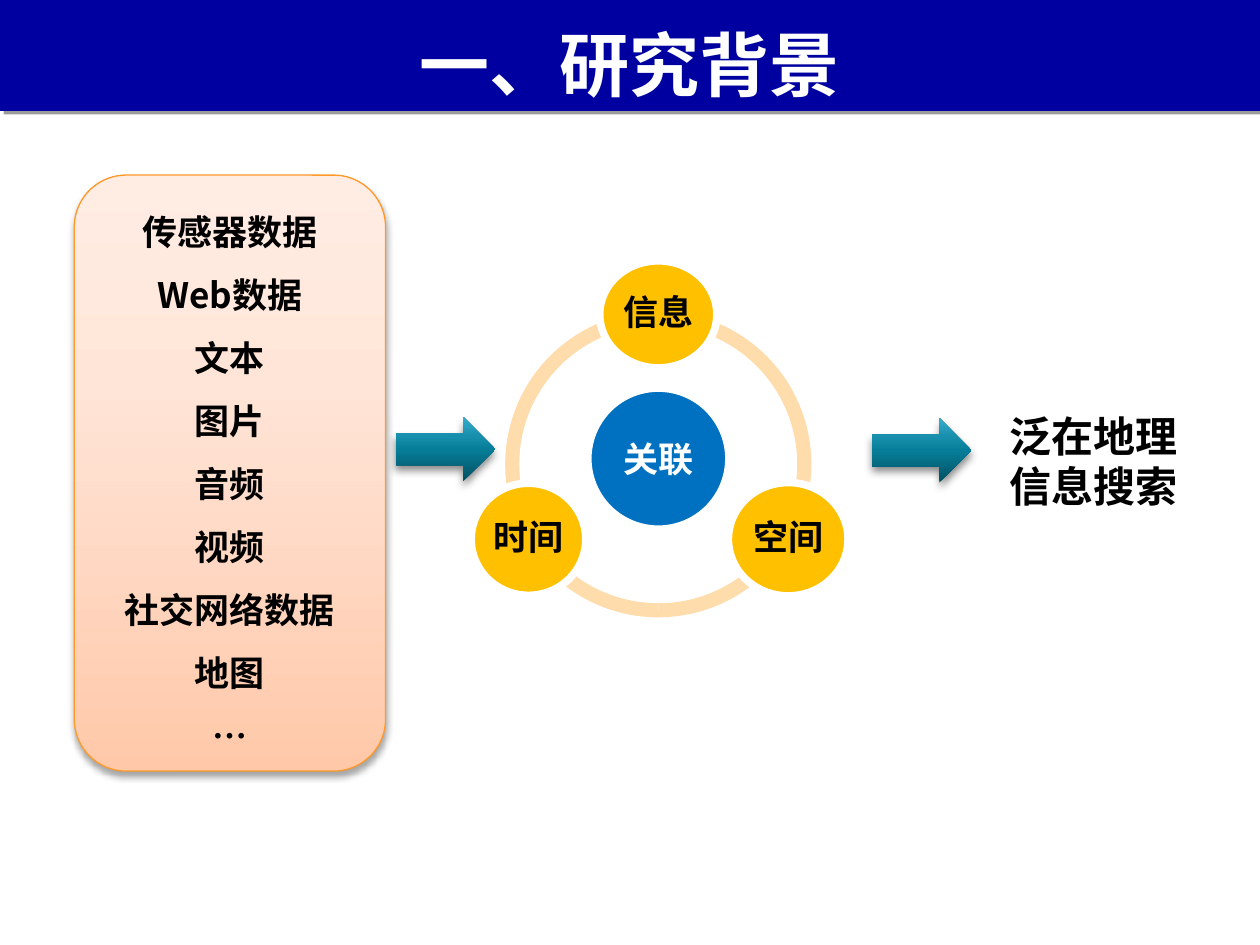
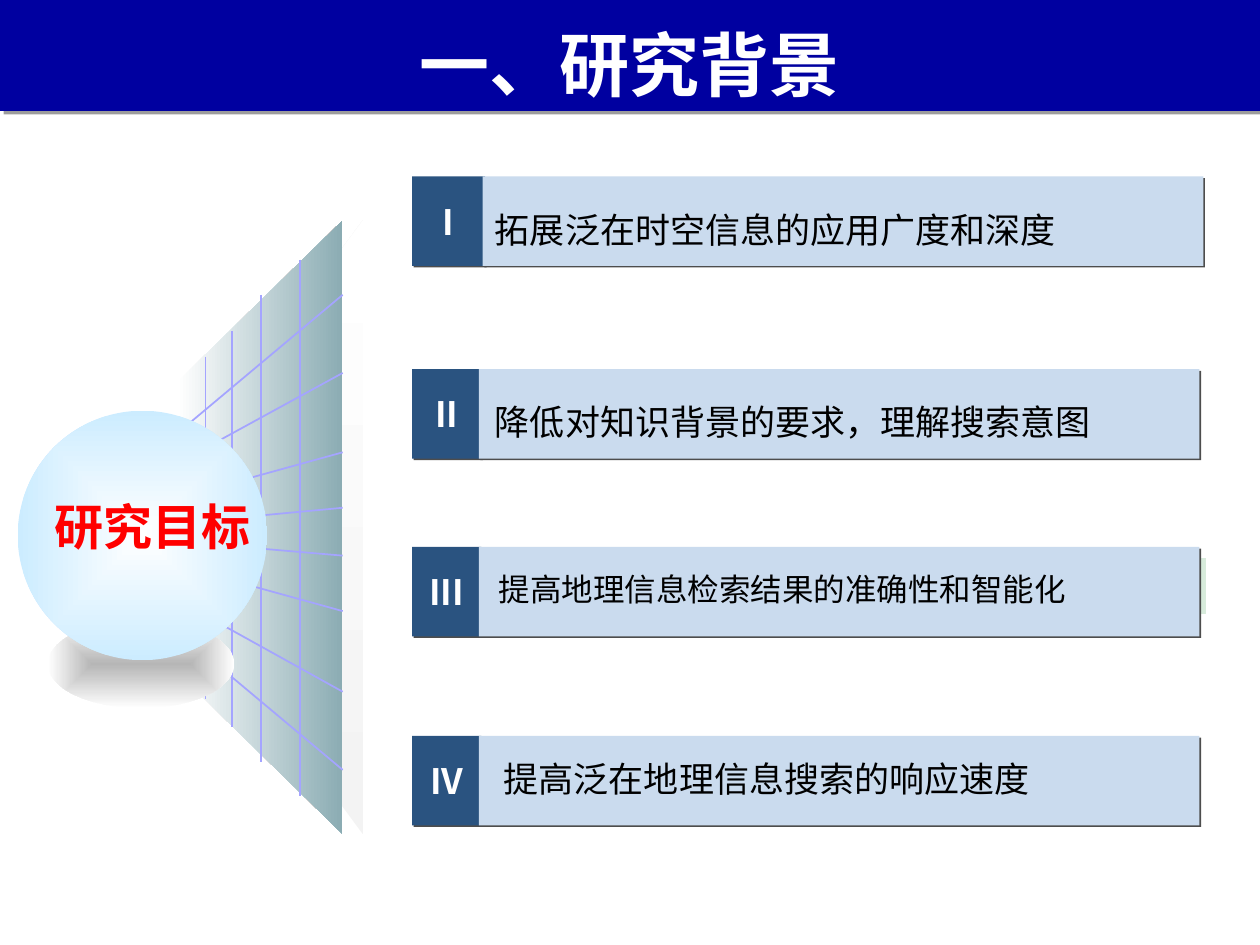
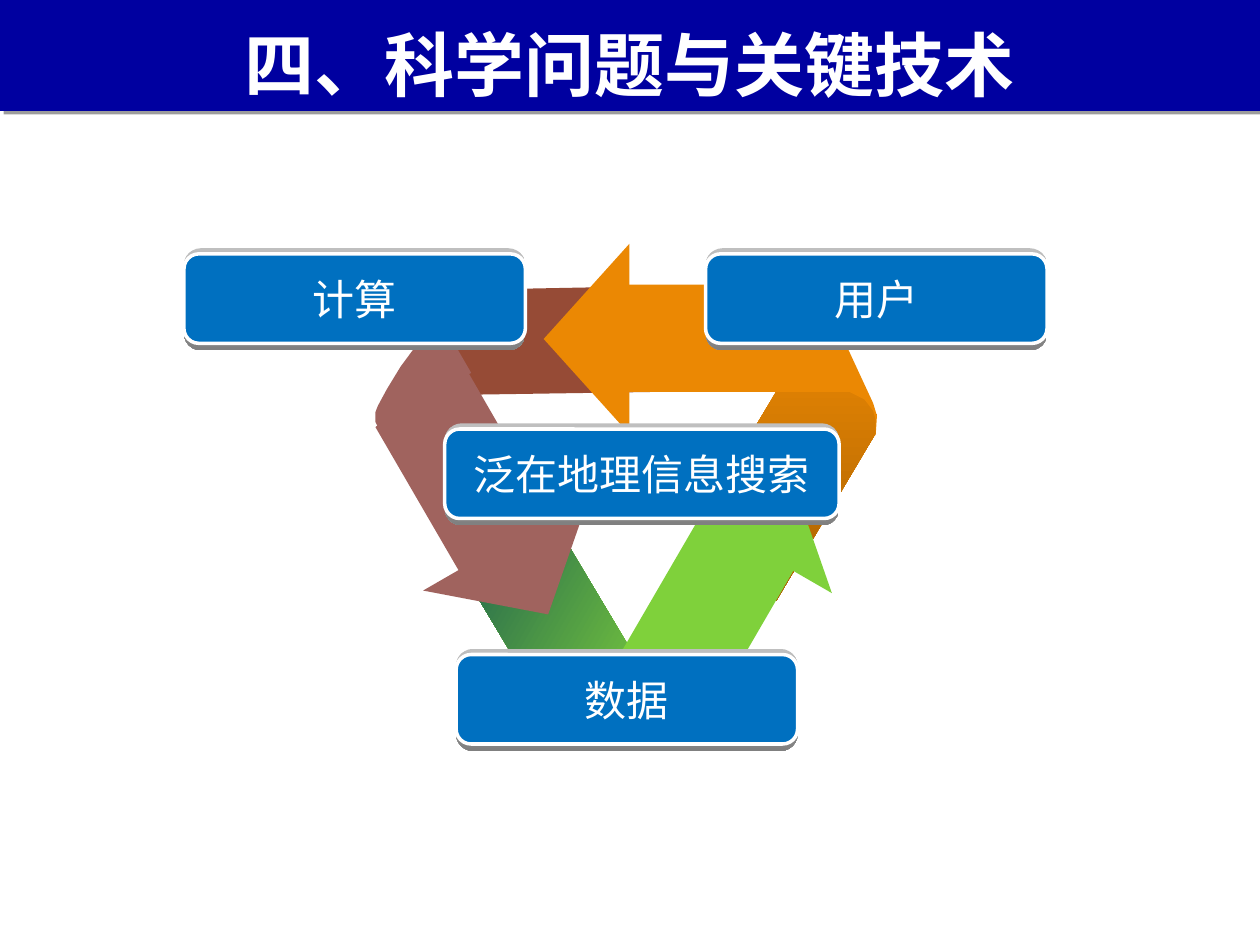
import math
from dataclasses import dataclass

from lxml import etree
from pptx import Presentation
from pptx import util as u
from pptx.dml.color import RGBColor
from pptx.enum import shapes, text
from pptx.oxml import ns

KIND = shapes.MSO_SHAPE
ALIGN = text.PP_ALIGN
CELL = u.Inches(0.1)  # grid of 100 columns by 75 rows
COLS, ROWS = 100, 75


@dataclass(frozen=True)
class Theme:
    font: str = "Noto Sans CJK SC"
    head: int = 40
    goal: int = 28
    big: int = 24
    body: int = 20
    small: int = 18
    navy: str = "0000A0"
    white: str = "FFFFFF"
    black: str = "000000"
    red: str = "FF0000"
    blue: str = "0070C0"
    gold: str = "FFC000"
    ring: str = "FFDCAB"
    rim: str = "FF9929"
    tag: str = "2A5380"
    card: str = "CADBEE"
    mesh: str = "A4A4FF"
    orange: str = "EB8803"
    green: str = "7FD13B"
    rose: str = "A0635E"
    brown: str = "964B36"
    # Gradients: stops, then an angle or None for one from the centre
    peach: tuple = (((0, "FFC8A9"), (65, "FFE5D8"), (100, "FFEDE4")), 270)
    teal: tuple = (((0, "015062"), (50, "077E99"), (70, "178EAB"),
                    (100, "35ADCE")), 270)
    mint: tuple = (((0, "FFFFFF"), (100, "D7EBDB")), 0)
    side: tuple = (((0, "F3F3F3"), (100, "FFFFFF")), 270)
    wall: tuple = (((0, "FFFFFF"), (100, "8BACB3")), 0)
    shade: tuple = (((0, "B6B6B6"), (100, "FFFFFF")), None)
    ball: tuple = (((0, "FFFFFF"), (100, "CCECFF")), None)
    amber: tuple = (((0, "EB8803"), (100, "A86102")), 90)
    forest: tuple = (((0, "7FD13B"), (100, "115252")), 210)
    steel: tuple = (((0, "BFBFBF"), (100, "808080")), 90)
    # Shadows: colour, opacity, blur, distance, angle
    low: tuple = ("000000", 38, 0, 3, 45)
    soft: tuple = ("000000", 35, 4, 3, 90)
    deep: tuple = ("000000", 45, 5, 3, 90)
    hard: tuple = ("4D4D4D", 100, 0, 1.4, 45)


T = Theme()


@dataclass(frozen=True)
class Box:
    x: float
    y: float
    w: float
    h: float

    def cut(self, x, y, w, h):
        return Box(self.x + x, self.y + y, w, h)

    def spot(self, x, y):
        return round((self.x + x) * CELL), round((self.y + y) * CELL)

    def frame(self):
        return *self.spot(0, 0), round(self.w * CELL), round(self.h * CELL)


# Shared drawing tools

def node(root, tag, **attrs):
    return etree.SubElement(root, ns.qn(tag),
                            {k: str(v) for k, v in attrs.items()})


def blend(shape, stops, turn):
    shape.fill.gradient()
    grad = shape._element.spPr.find(ns.qn("a:gradFill"))
    for child in list(grad):
        grad.remove(child)
    chain = node(grad, "a:gsLst")
    for place, color in stops:
        stop = node(chain, "a:gs", pos=place * 1000)
        node(stop, "a:srgbClr", val=color)
    if turn is None:
        way = node(grad, "a:path", path="shape")
        node(way, "a:fillToRect", l=50000, t=50000, r=50000, b=50000)
    else:
        node(grad, "a:lin", ang=turn * 60000, scaled=0)


def style(shape, fill, line=None, width=1, cast=None):
    shape.shadow.inherit = False
    if isinstance(fill, tuple):
        blend(shape, *fill)
    else:
        shape.fill.solid()
        shape.fill.fore_color.rgb = RGBColor.from_string(fill)
    if line:
        shape.line.color.rgb = RGBColor.from_string(line)
        shape.line.width = u.Pt(width)
    else:
        shape.line.fill.background()
    if cast:
        color, alpha, blur, dist, turn = cast
        effects = shape._element.spPr.find(ns.qn("a:effectLst"))
        drop = node(effects, "a:outerShdw", blurRad=u.Pt(blur),
                    dist=u.Pt(dist), dir=turn * 60000, algn="ctr",
                    rotWithShape=0)
        tint = node(drop, "a:srgbClr", val=color)
        node(tint, "a:alpha", val=alpha * 1000)
    return shape


def draw(slide, box, kind, fill, turn=0, **look):
    shape = slide.shapes.add_shape(kind, *box.frame())
    shape.rotation = turn
    return style(shape, fill, **look)


def trace(slide, box, points, fill):
    spots = [box.spot(*p) for p in points]
    pen = slide.shapes.build_freeform(*spots[0])
    pen.add_line_segments(spots[1:], close=True)
    return style(pen.convert_to_shape(), fill)


def rule(slide, start, end):
    line = slide.shapes.add_connector(shapes.MSO_CONNECTOR.STRAIGHT,
                                      *start, *end)
    line.line.color.rgb = RGBColor.from_string(T.mesh)
    line.line.width = u.Pt(1)
    node(line._element.spPr, "a:effectLst")


def write(shape, *lines, size=T.body, color=T.black, bold=False,
          align=ALIGN.CENTER, space=1.0, inset=(0.1, 0.05), wrap=True,
          anchor=text.MSO_ANCHOR.MIDDLE):
    frame = shape.text_frame
    frame.word_wrap = wrap
    frame.vertical_anchor = anchor
    frame.margin_left = frame.margin_right = u.Inches(inset[0])
    frame.margin_top = frame.margin_bottom = u.Inches(inset[1])
    for i, words in enumerate(lines):
        para = frame.add_paragraph() if i else frame.paragraphs[0]
        para.alignment = align
        para.line_spacing = space
        run = para.add_run()
        run.text = words
        run.font.size = u.Pt(size)
        run.font.bold = bold
        run.font.name = T.font
        run.font.color.rgb = RGBColor.from_string(color)
        node(run._r.get_or_add_rPr(), "a:ea", typeface=T.font)


def label(slide, box, words, **form):
    write(slide.shapes.add_textbox(*box.frame()), words, **form)


def header(slide, box, title):
    draw(slide, box, KIND.RECTANGLE, T.navy, cast=T.low)
    label(slide, box.cut(2.7, 1.3, 94.5, 7.5), title,
          size=T.head, color=T.white, bold=True)


# Slide 1: data sources, cycle of links, result

def source(slide, box):
    panel = draw(slide, box, KIND.ROUNDED_RECTANGLE, T.peach,
                 line=T.rim, width=0.75, cast=T.soft)
    write(panel, "传感器数据", "Web数据", "文本", "图片", "音频", "视频",
          "社交网络数据", "地图", "…", bold=True, space=1.5)


def cycle(slide, box):
    for start, end in ((90, 162), (18, 90), (162, 18)):
        arc = draw(slide, box, KIND.BLOCK_ARC, T.ring)
        # Angles count in 60000ths of a degree, adjustments in 100000ths
        for i, value in enumerate((start * 0.6, end * 0.6, 0.046)):
            arc.adjustments[i] = value

    def disc(x, y, w, h, words, fill, color, space=1.0):
        spot = box.cut(x - w / 2, y - h / 2, w, h)
        shape = draw(slide, spot, KIND.OVAL, fill, line=T.white, width=4.33)
        write(shape, words, color=color, bold=True, space=space, inset=(0, 0))

    mid, reach = box.w / 2, 11.9
    disc(mid, 11.7, 11.2, 11.2, "关联", T.blue, T.white)
    for words, turn, w, h in (("信息", -90, 9.3, 8.5), ("空间", 30, 9.5, 9),
                              ("时间", 150, 9.1, 8.9)):
        angle = math.radians(turn)
        disc(mid + reach * math.cos(angle), mid + reach * math.sin(angle),
             w, h, words, T.gold, T.black, space=0.9)


def context(slide, page):
    source(slide, page.cut(5.9, 13.9, 24.7, 47.3))
    for x, y in ((31.4, 33.1), (69.2, 33.2)):
        draw(slide, page.cut(x, y, 7.9, 5.1), KIND.RIGHT_ARROW, T.teal,
             cast=T.deep)
    cycle(slide, page.cut(40.1, 24.7, 24.3, 24.3))
    label(slide, page.cut(79.1, 32, 15.8, 9.1), "泛在地理信息搜索",
          size=T.big, bold=True, align=ALIGN.LEFT)


# Slide 2: goal in front of a wall, and four cards

def card(slide, box, mark, words, split, shift, size=T.body, space=1.0):
    tag = draw(slide, box.cut(0, 0, split + 0.2, box.h), KIND.RECTANGLE,
               T.tag, cast=T.hard)
    write(tag, mark, color=T.white, bold=True, inset=(0, 0.05))
    draw(slide, box.cut(split, 0, 57.2, box.h), KIND.RECTANGLE, T.card,
         cast=T.hard)
    label(slide, box.cut(shift, 0.8, 54.3, 5.1), words, size=size,
          space=space, align=ALIGN.LEFT)


def wall(slide, box):
    edge = 13.1
    trace(slide, box, ((14.7, 48.7), (12.7, 46), (12.7, 2.7), (14.7, 0)),
          T.side)
    trace(slide, box, ((edge, 48.7), (0, 35.9), (0, 12.8), (edge, 0)), T.wall)
    # Rays to the edge, then upright lines
    for x, y, end in ((0.3, 19.1, 12.1), (-0.3, 22.1, 18.4), (0.3, 24, 22.8),
                      (0.3, 30.3, 37.4), (-0.3, 27.3, 31), (0.3, 25.5, 26.6),
                      (0.2, 16.7, 5.9), (0.2, 32.8, 43.6)):
        rule(slide, box.spot(x, y), box.spot(edge, end))
    for x, top, end in ((9.7, 3.1, 45.7), (6.6, 5.9, 43), (4.3, 8.8, 40.2),
                        (2.2, 10.8, 38)):
        rule(slide, box.spot(x, top), box.spot(x, end))


def globe(slide, box):
    draw(slide, box.cut(2.4, 16.6, 14.8, 7), KIND.OVAL, T.shade)
    draw(slide, box.cut(0, 0, 19.8, 19.8), KIND.OVAL, T.ball)
    label(slide, box.cut(1.8, 6.3, 17.8, 5.7), "研究目标", size=T.goal,
          color=T.red, bold=True, wrap=False)


def goals(slide, page):
    draw(slide, page.cut(39, 44.3, 56.7, 4.4), KIND.RECTANGLE, T.mint)
    for top, mark, words, split, shift, size, space in (
            (14, "I", "拓展泛在时空信息的应用广度和深度", 5.6, 5.6, T.body, 1.5),
            (29.3, "II", "降低对知识背景的要求，理解搜索意图", 5.3, 5.6,
             T.body, 1.5),
            (43.4, "III", "提高地理信息检索结果的准确性和智能化", 5.3, 5.9,
             T.small, 1),
            (58.4, "IV", "提高泛在地理信息搜索的响应速度", 5.3, 6.3, T.body, 1)):
        card(slide, page.cut(32.7, top, 62.5, 7.1), mark, words, split, shift,
             size, space)
    wall(slide, page.cut(14.1, 17.5, 14.7, 48.7))
    globe(slide, page.cut(1.4, 32.6, 19.8, 23.6))


# Slide 3: ribbon of three arrows with name plates

def ribbon(slide, box):
    def tip(x, y, w, h, turn, fill):
        draw(slide, box.cut(x, y, w, h), KIND.ISOSCELES_TRIANGLE, fill, turn)

    # Right and lower bands
    trace(slide, box, ((24.2, 23.5), (34.4, 6.4), (39.6, 12.9), (39.5, 14.4),
                       (31.6, 27.7)), T.amber)
    trace(slide, box, ((12.2, 18.4), (22.6, 35.8), (14.3, 36.7), (13, 35.9),
                       (4.9, 22.4)), T.forest)
    tip(23.4, 17.1, 15.3, 6.6, 30, T.green)
    trace(slide, box, ((26.9, 18.7), (18.7, 32.8), (22.5, 35), (26.4, 36.6),
                       (34.3, 23)), T.green)
    trace(slide, box, ((19.3, 32), (26.7, 36.3), (26.4, 36.6), (25.6, 37.1),
                       (23.6, 37.4), (21.4, 37.4), (18.5, 37.3), (14.2, 36.8),
                       (12.9, 35.9), (14.3, 36.6), (15.3, 36.7), (16.5, 36.2),
                       (17.6, 34.9)), T.green)
    # Left band
    trace(slide, box, ((22.7, 11.1), (2.4, 11.4), (5.7, 3.7), (7.1, 3),
                       (22.8, 2.7)), T.brown)
    tip(4.2, 22.6, 15.3, 6.6, 150, T.rose)
    trace(slide, box, ((15.1, 23.3), (6.9, 9.1), (3.2, 11.3), (-0.2, 13.9),
                       (7.7, 27.5)), T.rose)
    trace(slide, box, ((7.4, 9.6), (0, 13.9), (-0.2, 13.5), (-0.2, 12.7),
                       (0, 12.2), (0.7, 10.9), (1.8, 9.1), (3.5, 6.8),
                       (5.4, 4.3), (6.1, 3.5), (6.8, 3.1), (7.6, 2.9),
                       (6.8, 3.3), (6.2, 3.7), (5.6, 4.5), (5.4, 5.6),
                       (5.9, 7)), T.rose)
    # Upper band
    trace(slide, box, ((33.5, 11.1), (33.5, 2.6), (34.3, 2.8), (35, 3.5),
                       (35.8, 4.7), (36.8, 6.6), (38, 9.2), (39.3, 12),
                       (39.6, 13), (39.5, 14.6), (39.5, 13.3), (39.3, 12.6),
                       (38.6, 11.7), (37.4, 11.1)), T.orange)
    tip(9, 3.5, 15.1, 6.8, 270, T.orange)
    trace(slide, box, ((17.1, 11.1), (34.1, 11.1), (34, 6.7), (33.4, 2.6),
                       (17.1, 2.6)), T.orange)


def plate(slide, box, words):
    draw(slide, box, KIND.ROUNDED_RECTANGLE, T.steel)
    face = draw(slide, box.cut(0, 0.45, box.w, 7.1), KIND.ROUNDED_RECTANGLE,
                T.blue, line=T.white, width=2)
    write(face, words, size=T.big, color=T.white)


def issues(slide, page):
    ribbon(slide, page.cut(30, 20, 40, 40))
    for x, y, w, words in ((35.3, 33.6, 31.3, "泛在地理信息搜索"),
                           (36.2, 51.5, 27.1, "数据"),
                           (14.6, 19.7, 27.1, "计算"),
                           (56, 19.7, 27.1, "用户")):
        plate(slide, page.cut(x, y, w, 8.1), words)


def main():
    deck = Presentation()
    deck.slide_width, deck.slide_height = COLS * CELL, ROWS * CELL
    page = Box(0, 0, COLS, ROWS)
    for title, build in (("一、研究背景", context), ("一、研究背景", goals),
                         ("四、科学问题与关键技术", issues)):
        slide = deck.slides.add_slide(deck.slide_layouts[6])
        header(slide, page.cut(0, 0, COLS, 8.8), title)
        build(slide, page)
    deck.save("out.pptx")


if __name__ == "__main__":
    main()
